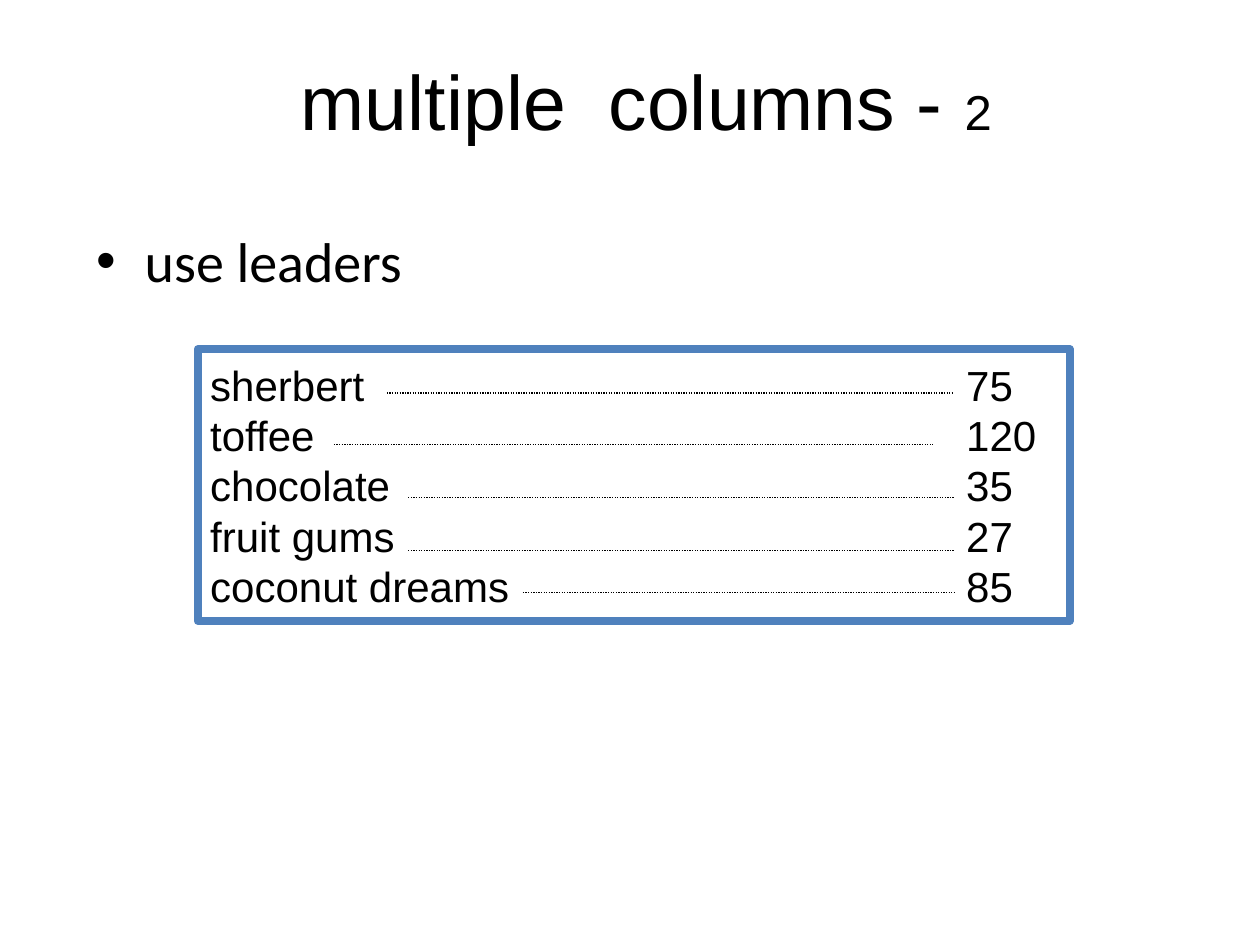
import pptx
import pptx.dml.color
import pptx.enum.dml
import pptx.enum.shapes
import pptx.enum.text
import pptx.oxml.ns
import pptx.util
from dataclasses import dataclass
from lxml import etree

Inches = pptx.util.Inches
Pt = pptx.util.Pt
Anchor = pptx.enum.text.MSO_ANCHOR
Align = pptx.enum.text.PP_ALIGN
qn = pptx.oxml.ns.qn


@dataclass(frozen=True)
class Theme:
    """Colours, fonts and type sizes of the slide."""
    ink: str = "000000"
    frame: str = "4F81BD"
    head: str = "Arial"
    body: str = "Calibri"
    title: int = 44
    number: int = 28
    bullet: int = 32
    item: int = 24


THEME = Theme()
SWEETS = [
    ("sherbert", "75", 3.07, 7.57, 3.12),
    ("toffee", "120", 2.65, 7.4, 3.53),
    ("chocolate", "35", 3.24, 7.57, 3.95),
    ("fruit gums", "27", 3.24, 7.57, 4.37),
    ("coconut dreams", "85", 4.15, 7.57, 4.7),
]


def tint(code):
    """Return the colour for a hex code."""
    return pptx.dml.color.RGBColor.from_string(code)


def add_run(para, text, size, face):
    """Append one styled run to a paragraph."""
    run = para.add_run()
    run.text = text
    run.font.size = Pt(size)
    run.font.name = face
    run.font.color.rgb = tint(THEME.ink)


def add_text(slide, box, anchor):
    """Add a wrapping text box and return its first paragraph."""
    frame = slide.shapes.add_textbox(*map(Inches, box)).text_frame
    frame.word_wrap = True
    frame.vertical_anchor = anchor
    return frame.paragraphs[0]


def add_title(slide, box):
    """Place the centred title with its smaller number."""
    para = add_text(slide, box, Anchor.MIDDLE)
    para.alignment = Align.CENTER
    add_run(para, "multiple  columns - ", THEME.title, THEME.head)
    add_run(para, "2", THEME.number, THEME.head)


def add_bullet(slide, box):
    """Place the bulleted advice."""
    para = add_text(slide, box, Anchor.TOP)
    props = para._p.get_or_add_pPr()
    props.set("marL", str(Inches(0.38)))
    props.set("indent", str(Inches(-0.38)))
    etree.SubElement(props, qn("a:buFont"), typeface="Arial")
    etree.SubElement(props, qn("a:buChar"), char="•")
    add_run(para, "use leaders", THEME.bullet, THEME.body)


def add_leader(group, left, right, y):
    """Draw one dotted leader."""
    line = group.shapes.add_connector(
        pptx.enum.shapes.MSO_CONNECTOR.STRAIGHT,
        *map(Inches, (left, y, right, y)))
    line.line.color.rgb = tint(THEME.ink)
    line.line.width = Pt(0.75)
    line.line.dash_style = pptx.enum.dml.MSO_LINE.ROUND_DOT
    etree.SubElement(line._element.spPr, qn("a:effectLst"))


def add_list(slide, box):
    """Place the framed price list with its leaders."""
    group = slide.shapes.add_group_shape()
    panel = group.shapes.add_shape(
        pptx.enum.shapes.MSO_SHAPE.RECTANGLE, *map(Inches, box))
    panel.shadow.inherit = False
    panel.fill.background()
    panel.line.color.rgb = tint(THEME.frame)
    panel.line.width = Pt(4.5)
    frame = panel.text_frame
    frame.word_wrap = True
    frame.vertical_anchor = Anchor.MIDDLE
    for row, (name, price, left, right, y) in enumerate(SWEETS):
        para = frame.add_paragraph() if row else frame.paragraphs[0]
        para.alignment = Align.LEFT
        tabs = etree.SubElement(para._p.get_or_add_pPr(), qn("a:tabLst"))
        etree.SubElement(tabs, qn("a:tab"), pos=str(Inches(6)), algn="l")
        add_run(para, f"{name}\t{price}", THEME.item, THEME.head)
        add_leader(group, left, right, y)


def main():
    """Build and save the slide."""
    deck = pptx.Presentation()
    deck.slide_width = Inches(10)
    deck.slide_height = Inches(7.5)
    slide = deck.slides.add_slide(deck.slide_layouts[6])
    add_title(slide, (0.67, 0.25, 8.92, 1.08))
    add_bullet(slide, (0.67, 1.75, 8.92, 4.92))
    add_list(slide, (1.57, 2.77, 6.92, 2.16))
    deck.save("out.pptx")


if __name__ == "__main__":
    main()
